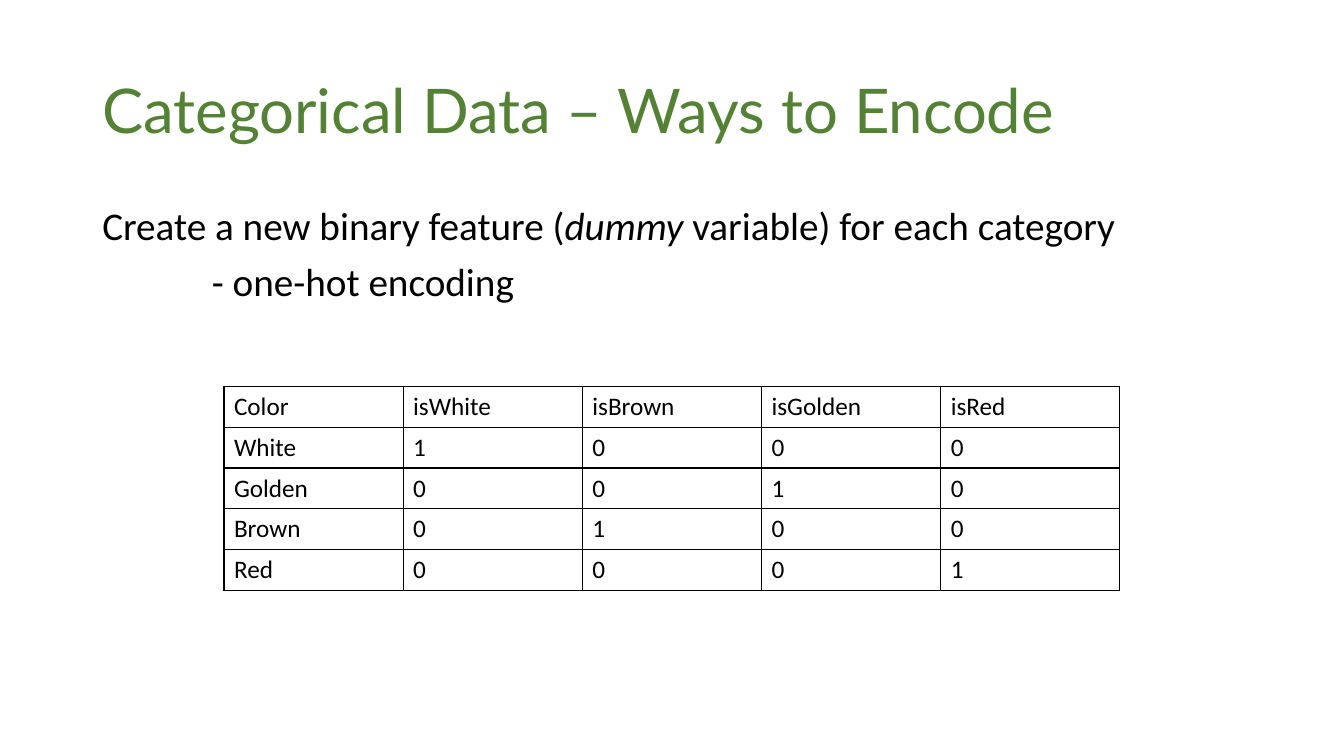
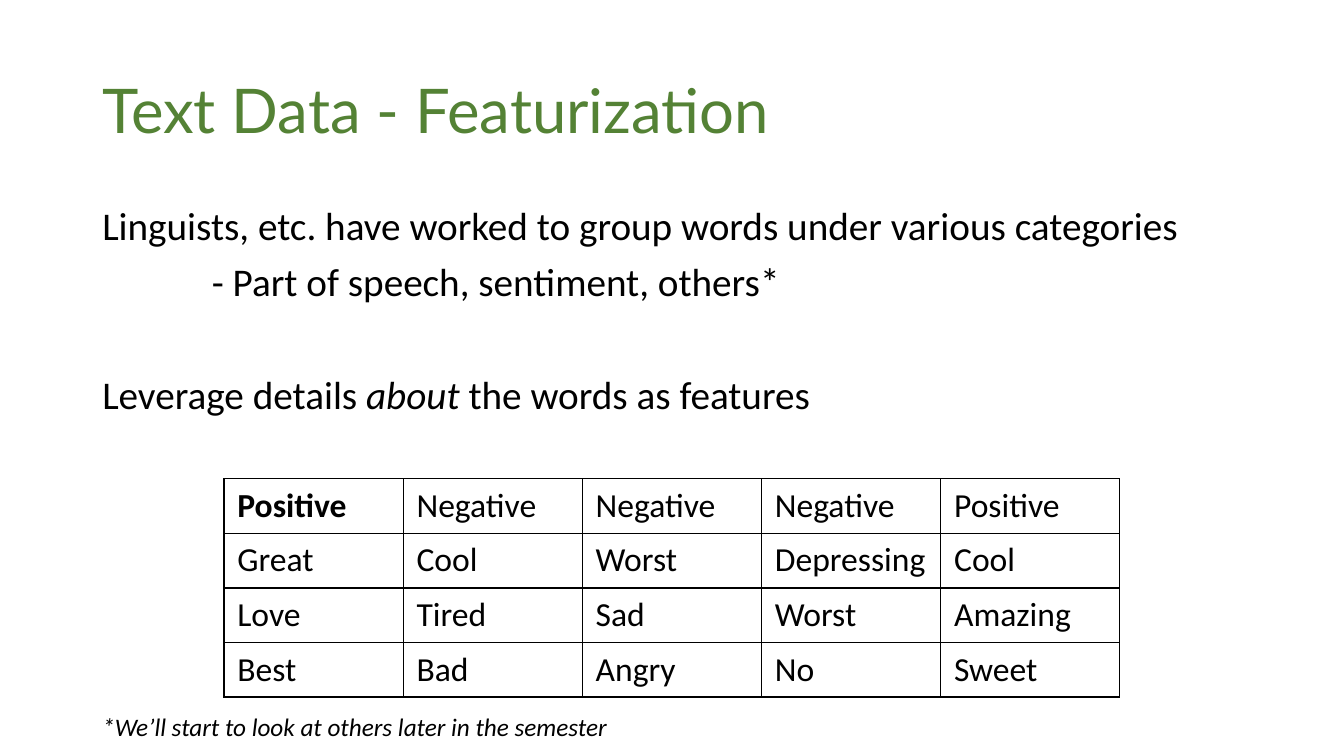
"""Build two slides on encoding categorical and text data."""
from dataclasses import dataclass

from lxml.etree import SubElement
from pptx import Presentation
from pptx.dml.color import RGBColor
from pptx.enum.text import MSO_ANCHOR
from pptx.oxml.ns import qn
from pptx.slide import Slide
from pptx.table import _Cell
from pptx.text.text import TextFrame, _Paragraph
from pptx.util import Emu, Inches, Pt

COLUMNS, ROWS = 160, 90
CELL = Inches(1 / 12)
GREEN, BLACK, WHITE = "548235", "000000", "FFFFFF"
TITLE_FONT, BODY_FONT = "Lato", "Calibri"
BORDER_WIDTH = Pt(1)
LINE_SPACING = 0.9


@dataclass(frozen=True)
class Area:
    """A rectangle in grid cells."""
    left: float
    top: float
    width: float
    height: float


@dataclass(frozen=True)
class Span:
    """A piece of text in one style."""
    text: str
    italic: bool = False


@dataclass(frozen=True)
class Line:
    """A body paragraph with its indent in cells and space before in points."""
    spans: tuple[Span, ...]
    indent: float = 0
    before: float = 10


@dataclass(frozen=True)
class Grid:
    """A table with its place, row height and text format."""
    top: float
    row_height: float
    size: float
    side_inset: float
    edge_inset: float
    rows: tuple[tuple[str, ...], ...]
    bold_first: bool = False


@dataclass(frozen=True)
class Page:
    """The content of one slide."""
    title: str
    body: Area
    lines: tuple[Line, ...]
    grid: Grid
    footnote: str = ""


TITLE_AREA = Area(11, 4.8, 138, 17.4)
FOOTNOTE_AREA = Area(11, 84.5, 138, 4.8)
TABLE_LEFT, TABLE_WIDTH = COLUMNS / 6, COLUMNS * 2 / 3
SUBPOINT_INDENT = 13.05

CATEGORIES = ("White", "Golden", "Brown", "Red")
FEATURES = ("White", "Brown", "Golden", "Red")
ONE_HOT = (
    ("Color", *(f"is{feature}" for feature in FEATURES)),
    *((category, *(str(int(category == feature)) for feature in FEATURES))
      for category in CATEGORIES),
)
SENTIMENT = (
    ("Positive", "Negative", "Negative", "Negative", "Positive"),
    ("Great", "Cool", "Worst", "Depressing", "Cool"),
    ("Love", "Tired", "Sad", "Worst", "Amazing"),
    ("Best", "Bad", "Angry", "No", "Sweet"),
)

PAGES = (
    Page(
        "Categorical Data – Ways to Encode",
        Area(11, 24, 138, 57),
        (
            Line((Span("Create a new binary feature ("), Span("dummy ", True),
                  Span("variable) for each category")), before=0),
            Line((Span("- one-hot encoding"),), SUBPOINT_INDENT),
        ),
        Grid(46, 4.86, 18, 1.2, 0.6, ONE_HOT),
    ),
    Page(
        "Text Data - Featurization",
        Area(11, 24, 138, 32),
        (
            Line((Span("Linguists, etc. have worked to group words under "
                       "various categories"),), before=0),
            Line((Span("- Part of speech, sentiment, others*"),), SUBPOINT_INDENT),
            Line((Span("Leverage details "), Span("about", True),
                  Span(" the words as features")), before=50),
        ),
        Grid(57, 6.5, 24, 1.6, 0.8, SENTIMENT, True),
        "*We’ll start to look at others later in the semester",
    ),
)


def cells(count: float) -> Emu:
    """Turn grid cells into a length."""
    return Emu(round(count * CELL))


def colour(value: str) -> RGBColor:
    """Turn a hex string into a colour."""
    return RGBColor.from_string(value)


def add_text(para: _Paragraph, text: str, *, size: float, font: str = BODY_FONT,
             fill: str = BLACK, bold: bool = False, italic: bool = False) -> None:
    """Append formatted text to a paragraph."""
    span = para.add_run()
    span.text = text
    span.font.name = font
    span.font.size = Pt(size)
    span.font.bold = bold
    span.font.italic = italic
    span.font.color.rgb = colour(fill)


def add_box(slide: Slide, area: Area, anchor: MSO_ANCHOR = MSO_ANCHOR.TOP) -> TextFrame:
    """Add a wrapping text box and return its frame."""
    box = slide.shapes.add_textbox(cells(area.left), cells(area.top),
                                   cells(area.width), cells(area.height))
    frame = box.text_frame
    frame.word_wrap = True
    frame.vertical_anchor = anchor
    frame.paragraphs[0].line_spacing = LINE_SPACING
    return frame


def add_body(slide: Slide, area: Area, lines: tuple[Line, ...]) -> None:
    """Add the body paragraphs."""
    frame = add_box(slide, area)
    for index, line in enumerate(lines):
        para = frame.add_paragraph() if index else frame.paragraphs[0]
        para.line_spacing = LINE_SPACING
        para.space_before = Pt(line.before)
        if line.indent:
            para._p.get_or_add_pPr().set("marL", str(cells(line.indent)))
        for span in line.spans:
            add_text(para, span.text, size=28, italic=span.italic)


def style_cell(cell: _Cell, grid: Grid) -> None:
    """Give a cell its borders, fill and insets."""
    properties = cell._tc.get_or_add_tcPr()
    for side in ("lnL", "lnR", "lnT", "lnB"):
        border = SubElement(properties, qn(f"a:{side}"), w=str(BORDER_WIDTH))
        fill = SubElement(border, qn("a:solidFill"))
        SubElement(fill, qn("a:srgbClr"), val=BLACK)
    cell.fill.solid()
    cell.fill.fore_color.rgb = colour(WHITE)
    cell.margin_left = cell.margin_right = cells(grid.side_inset)
    cell.margin_top = cell.margin_bottom = cells(grid.edge_inset)


def add_grid(slide: Slide, grid: Grid) -> None:
    """Add a bordered table."""
    row_count, column_count = len(grid.rows), len(grid.rows[0])
    table = slide.shapes.add_table(
        row_count, column_count, cells(TABLE_LEFT), cells(grid.top),
        cells(TABLE_WIDTH), cells(grid.row_height * row_count)).table
    table.first_row = table.horz_banding = False
    for row_index, row in enumerate(grid.rows):
        for column_index, text in enumerate(row):
            cell = table.cell(row_index, column_index)
            style_cell(cell, grid)
            is_first = row_index == column_index == 0
            add_text(cell.text_frame.paragraphs[0], text, size=grid.size,
                     bold=grid.bold_first and is_first)


def main() -> None:
    """Build and save the deck."""
    deck = Presentation()
    deck.slide_width, deck.slide_height = cells(COLUMNS), cells(ROWS)
    for page in PAGES:
        slide = deck.slides.add_slide(deck.slide_layouts[6])
        title = add_box(slide, TITLE_AREA, MSO_ANCHOR.MIDDLE)
        add_text(title.paragraphs[0], page.title, size=44, font=TITLE_FONT, fill=GREEN)
        add_body(slide, page.body, page.lines)
        add_grid(slide, page.grid)
        if page.footnote:
            footnote = add_box(slide, FOOTNOTE_AREA)
            add_text(footnote.paragraphs[0], page.footnote, size=18, italic=True)
    deck.save("out.pptx")


if __name__ == "__main__":
    main()
